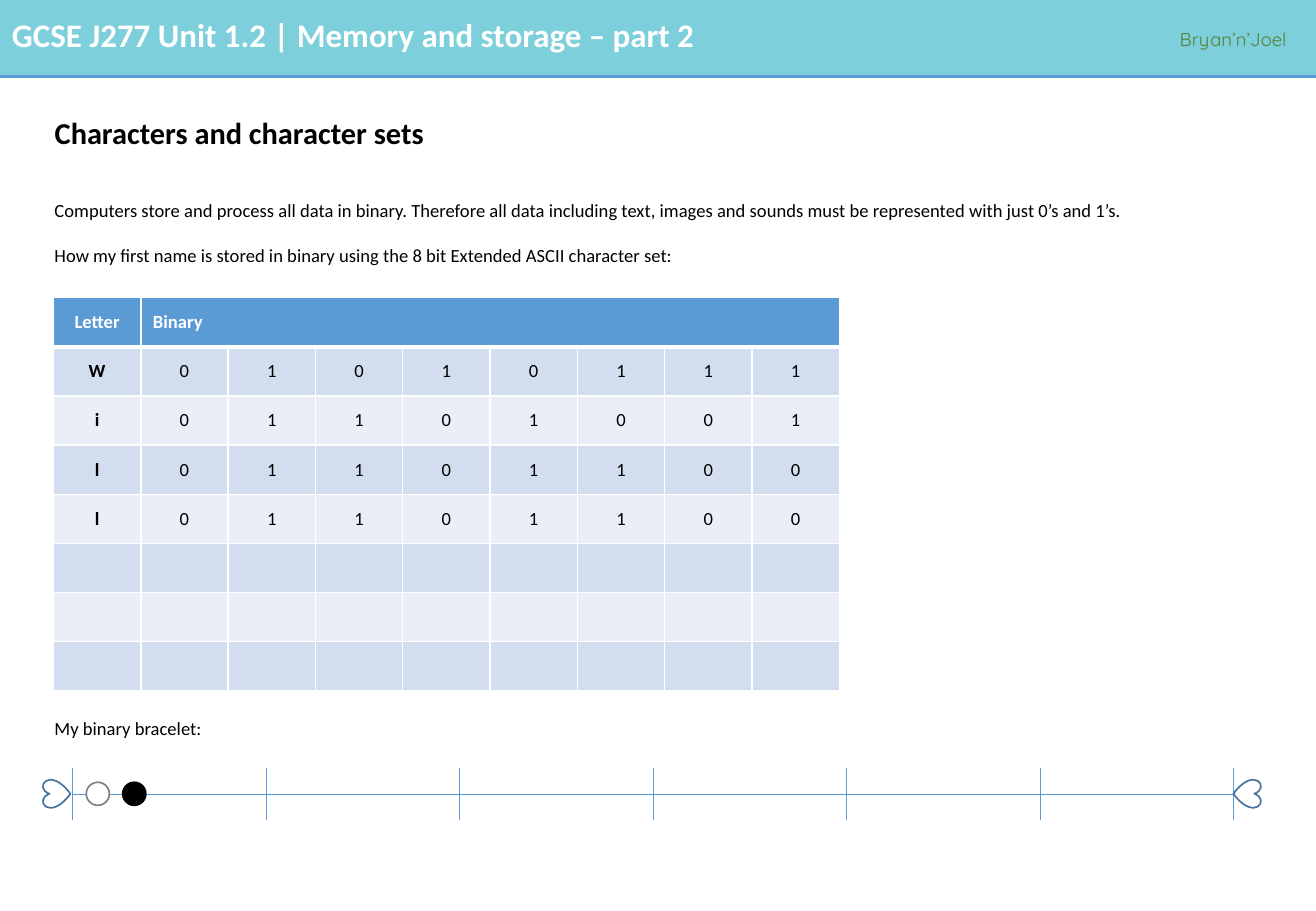
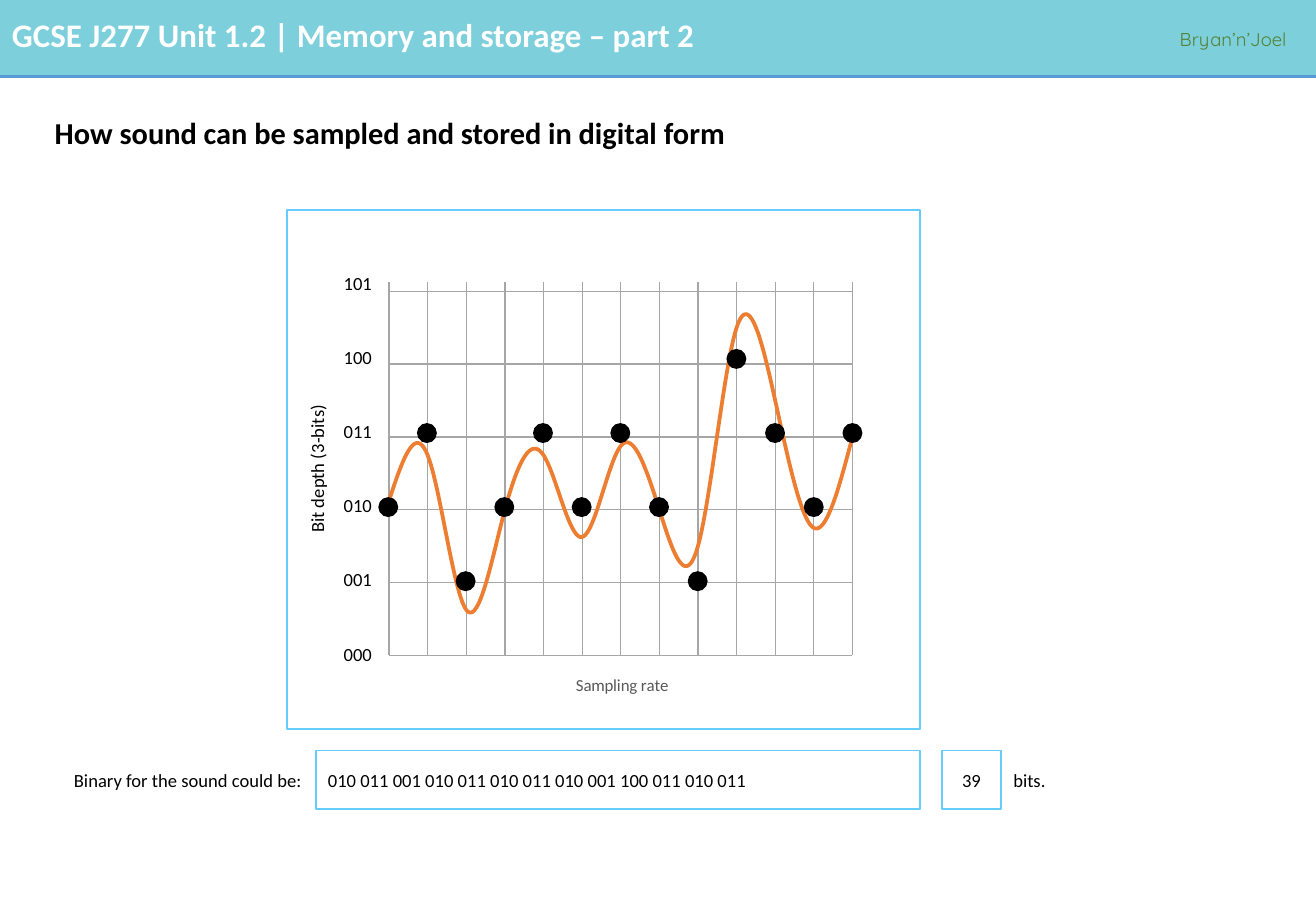
"""Build two GCSE revision slides: character sets and sound sampling."""
from dataclasses import dataclass

from pptx import Presentation
from pptx.chart.data import CategoryChartData
from pptx.dml.color import RGBColor
from pptx.enum.chart import XL_CHART_TYPE as ChartType, XL_MARKER_STYLE as Marker
from pptx.enum.chart import XL_TICK_LABEL_POSITION as LabelPosition
from pptx.enum.shapes import MSO_CONNECTOR as Connector, MSO_SHAPE as Preset
from pptx.enum.text import MSO_ANCHOR as Anchor, MSO_AUTO_SIZE as AutoSize, PP_ALIGN as Align
from pptx.oxml import parse_xml
from pptx.oxml.ns import nsdecls, qn
from pptx.oxml.xmlchemy import OxmlElement
from pptx.util import Inches, Pt

UNIT = "GCSE J277 Unit 1.2 | Memory and storage – part 2"
PUBLISHER = "Bryan’n’Joel"

CHARACTERS_TITLE = "Characters and character sets"
INTRO = [
    "Computers store and process all data in binary. Therefore all data including text, "
    "images and sounds must be represented with just 0’s and 1’s.",
    "How my first name is stored in binary using the 8 bit Extended ASCII character set:",
]
TABLE_HEADS = ("Letter", "Binary")
LETTERS = [("W", "01010111"), ("i", "01101001"), ("l", "01101100"), ("l", "01101100")]
SPARE_ROWS = 3
BRACELET_CAPTION = "My binary bracelet:"
BRACELET_SECTIONS = 6

SOUND_TITLE = "How sound can be sampled and stored in digital form"
WAVE = [81, 86, 69, 80, 86, 77, 87, 80, 76, 100, 92, 78, 88]
SAMPLES = "010 011 001 010 011 010 011 010 001 100 011 010 011".split()
LEVELS = ["000", "001", "010", "011", "100", "101"]
DEPTH_LABEL = "Bit depth (3-bits)"
RATE_LABEL = "Sampling rate"
ANSWER_LABEL = "Binary for the sound could be:"
BIT_UNIT = "bits."


@dataclass(frozen=True)
class Theme:
    """Colours, fonts and type sizes."""
    band: str = "7CCFDB"
    accent: str = "5B9BD5"
    white: str = "FFFFFF"
    black: str = "000000"
    publisher: str = "548235"
    row_dark: str = "D2DEEF"
    row_light: str = "EAEFF7"
    heart: str = "43739E"
    bead: str = "808080"
    frame: str = "66CCFF"
    wave: str = "ED7D31"
    grid: str = "A6A6A6"
    muted: str = "595959"
    font: str = "Calibri"
    publisher_font: str = "Quicksand"
    unit_size: float = 19.5
    title_size: float = 18
    body_size: float = 11
    chart_size: float = 10


T = Theme()


def rgb(color):
    """Return the colour object for a hex value."""
    return RGBColor.from_string(color)


def style(font, size=T.body_size, color=T.black, bold=False, name=T.font):
    """Set the look of a font."""
    font.size, font.bold, font.name = Pt(size), bold, name
    font.color.rgb = rgb(color)


def write(paragraph, text, **look):
    """Add one formatted run."""
    run = paragraph.add_run()
    run.text = text
    style(run.font, **look)


def add_text(slide, box, *lines, wrap=True, gap=0, **look):
    """Add a text box with one paragraph per line."""
    label = slide.shapes.add_textbox(*map(Inches, box))
    frame = label.text_frame
    frame.word_wrap, frame.auto_size = wrap, AutoSize.SHAPE_TO_FIT_TEXT
    for index, line in enumerate(lines):
        paragraph = frame.add_paragraph() if index else frame.paragraphs[0]
        paragraph.space_before = Pt(gap if index else 0)
        write(paragraph, line, **look)
    return label


def add_figure(slide, preset, box, fill=None, line=None, rotation=0):
    """Add a preset shape without shadow."""
    figure = slide.shapes.add_shape(preset, *map(Inches, box))
    figure.shadow.inherit, figure.rotation = False, rotation
    if fill:
        figure.fill.solid()
        figure.fill.fore_color.rgb = rgb(fill)
    else:
        figure.fill.background()
    if line:
        figure.line.color.rgb, figure.line.width = rgb(line), Pt(1)
    else:
        figure.line.fill.background()
    return figure


def add_rule(slide, start, end, width=0.5):
    """Add a straight line between two points."""
    rule = slide.shapes.add_connector(Connector.STRAIGHT, *map(Inches, (*start, *end)))
    rule.line.color.rgb, rule.line.width = rgb(T.accent), Pt(width)
    rule.element.spPr.append(OxmlElement("a:effectLst"))
    return rule


def add_answer(slide, box, text, align=Align.LEFT):
    """Add a framed answer box."""
    frame = add_figure(slide, Preset.RECTANGLE, box, line=T.frame).text_frame
    frame.word_wrap, frame.vertical_anchor = True, Anchor.MIDDLE
    frame.paragraphs[0].alignment = align
    write(frame.paragraphs[0], text)


def add_slide(deck, layout, heading):
    """Add a slide with its formatted title."""
    slide = deck.slides.add_slide(layout)
    title = slide.shapes.title
    title.left, title.top, title.width, title.height = map(Inches, (0.35, 0.83, 10.1, 0.56))
    title.text_frame.vertical_anchor = Anchor.MIDDLE
    paragraph = title.text_frame.paragraphs[0]
    paragraph.alignment, paragraph.line_spacing = Align.LEFT, 0.9
    write(paragraph, heading, size=T.title_size, bold=True)
    return slide


def brand_layout(slide, layout):
    """Build the header band and move it to the shared layout."""
    band = add_figure(slide, Preset.RECTANGLE, (0, 0, 10.83, 0.63), T.band)
    edge = add_rule(slide, (0, 0.63), (10.83, 0.63), 2.25)
    unit = add_text(slide, (0, 0.07, 9.48, 0.43), UNIT,
                    size=T.unit_size, color=T.white, bold=True)
    publisher = add_text(slide, (9.61, 0.17, 1.22, 0.29), PUBLISHER, wrap=False,
                         color=T.publisher, name=T.publisher_font)
    credit = publisher.text_frame.paragraphs[0]
    credit.line_spacing, credit.space_after = 1.07, Pt(8)
    for number, part in enumerate((band, edge, unit, publisher), 101):
        part.element.xpath("./*/p:cNvPr")[0].set("id", str(number))
        layout.shapes.element.append(part.element)


def fill_cell(cell, text, fill, top=1, bottom=1, align=Align.CENTER, **look):
    """Write, border and fill one table cell."""
    properties = cell._tc.get_or_add_tcPr()
    for side, width in zip("LRTB", (1, 1, top, bottom)):
        properties.append(parse_xml(
            f'<a:ln{side} {nsdecls("a")} w="{Pt(width)}"><a:solidFill>'
            f'<a:srgbClr val="{T.white}"/></a:solidFill></a:ln{side}>'))
    cell.fill.solid()
    cell.fill.fore_color.rgb = rgb(fill)
    cell.vertical_anchor = Anchor.MIDDLE
    paragraph = cell.text_frame.paragraphs[0]
    paragraph.alignment = align
    if text:
        write(paragraph, text, **look)


def add_letter_table(slide):
    """Add the table of letters and their bits."""
    rows = [(letter, *bits) for letter, bits in LETTERS] + [("",) * 9] * SPARE_ROWS
    table = slide.shapes.add_table(
        len(rows) + 1, 9, *map(Inches, (0.44, 2.45, 6.47, 3.24))).table
    table.horz_banding = False
    table.cell(0, 1).merge(table.cell(0, 8))
    for column in range(9):
        fill_cell(table.cell(0, column), TABLE_HEADS[column] if column < 2 else "", T.accent,
                  bottom=3, align=Align.LEFT if column else Align.CENTER,
                  color=T.white, bold=True)
    for number, row in enumerate(rows, 1):
        for column, text in enumerate(row):
            fill_cell(table.cell(number, column), text, T.row_dark if number % 2 else T.row_light,
                      top=3 if number == 1 else 1, bold=column == 0)


def add_bracelet(slide):
    """Add the bracelet thread, dividers, beads and clasps."""
    start, end, middle = 0.6, 10.15, 6.54
    step = (end - start) / BRACELET_SECTIONS
    for section in range(BRACELET_SECTIONS + 1):
        x = start + section * step
        add_rule(slide, (x, 6.32), (x, 6.75))
        if section < BRACELET_SECTIONS:
            add_rule(slide, (x, middle), (x + step, middle))
    for left, fill, line in ((1.01, T.black, T.black), (0.71, T.white, T.bead)):
        add_figure(slide, Preset.OVAL, (left, 6.44, 0.19, 0.19), fill, line)
    for left, rotation in ((0.35, 270), (end, 90)):
        add_figure(slide, Preset.HEART, (left, 6.42, 0.23, 0.23), T.white, T.heart, rotation)


def place_in_chart(parent, index, **fractions):
    """Give a chart part a fixed place as fractions of the chart."""
    for old in parent.findall(qn("c:layout")):
        parent.remove(old)
    modes = {"xMode": "edge", "yMode": "edge"}
    if "w" in fractions:
        modes = {"layoutTarget": "inner", **modes}
    entries = "".join(f'<c:{key} val="{value}"/>' for key, value in {**modes, **fractions}.items())
    parent.insert(index, parse_xml(
        f'<c:layout {nsdecls("c")}><c:manualLayout>{entries}</c:manualLayout></c:layout>'))


def add_wave_chart(slide):
    """Add the smooth sound wave on its sampling grid."""
    data = CategoryChartData()
    data.categories = [str(number) for number in range(1, len(WAVE) + 1)]
    data.add_series("Series 1", WAVE)
    chart = slide.shapes.add_chart(
        ChartType.LINE, *map(Inches, (2.73, 1.85, 4.41, 4.04)), data).chart
    chart.has_legend = chart.has_title = False
    style(chart.font, T.chart_size)
    plot = chart.plots[0]
    plot.vary_by_categories = False
    wave = plot.series[0]
    wave.smooth, wave.marker.style = True, Marker.NONE
    wave.format.line.color.rgb, wave.format.line.width = rgb(T.wave), Pt(2.25)
    time, depth = chart.category_axis, chart.value_axis
    for axis in (time, depth):
        axis.has_major_gridlines, axis.visible = True, False
        axis.tick_label_position = LabelPosition.NONE
        grid = axis.major_gridlines.format.line
        grid.color.rgb, grid.width = rgb(T.grid), Pt(0.75)
    depth.minimum_scale, depth.maximum_scale, depth.major_unit = 64, 105, 8
    depth.tick_labels.number_format = "0.0000"
    depth.tick_labels.number_format_is_linked = False
    time.has_title = True
    write(time.axis_title.text_frame.paragraphs[0], RATE_LABEL, size=T.chart_size, color=T.muted)
    place_in_chart(time.axis_title.element, 1, x=0.45, y=0.91)
    root = chart.element
    place_in_chart(root.find(".//" + qn("c:plotArea")), 0, x=0.107, y=0.117, w=0.865, h=0.761)
    for old in root.findall(".//" + qn("c:crossBetween")):
        old.getparent().remove(old)
    root.find(".//" + qn("c:majorUnit")).addprevious(
        parse_xml(f'<c:crossBetween {nsdecls("c")} val="midCat"/>'))
    root.find(qn("c:chart")).addnext(parse_xml(
        f'<c:spPr {nsdecls("c", "a")}><a:solidFill><a:srgbClr val="{T.white}"/></a:solidFill>'
        '<a:ln><a:noFill/></a:ln></c:spPr>'))


def add_samples(slide):
    """Label the levels and put a dot at each sampled level."""
    for level, code in enumerate(LEVELS):
        add_text(slide, (2.73, 5.24 - 0.61 * level, 0.44, 0.29), code, wrap=False)
    add_text(slide, (1.98, 3.71, 1.26, 0.29), DEPTH_LABEL, wrap=False).rotation = 270
    step = (6.94 - 3.12) / (len(SAMPLES) - 1)
    for index, code in enumerate(SAMPLES):
        top = 5.32 - 0.61 * LEVELS.index(code)
        add_figure(slide, Preset.OVAL, (3.12 + index * step, top, 0.15, 0.15), T.black, T.black)


deck = Presentation()
deck.slide_width, deck.slide_height = Inches(10.83), Inches(7.5)
title_only = deck.slide_layouts[5]

characters = add_slide(deck, title_only, CHARACTERS_TITLE)
brand_layout(characters, title_only)
add_text(characters, (0.35, 1.59, 10.1, 0.66), *INTRO, gap=13.4)
add_letter_table(characters)
add_text(characters, (0.35, 5.85, 10.1, 0.29), BRACELET_CAPTION)
add_bracelet(characters)

sound = add_slide(deck, title_only, SOUND_TITLE)
add_figure(sound, Preset.RECTANGLE, (2.36, 1.73, 5.21, 4.27), line=T.frame)
add_wave_chart(sound)
add_samples(sound)
add_text(sound, (0.51, 6.28, 2.09, 0.29), ANSWER_LABEL)
add_answer(sound, (2.6, 6.18, 4.97, 0.48), " ".join(SAMPLES))
add_answer(sound, (7.75, 6.18, 0.49, 0.48), str(len("".join(SAMPLES))), Align.CENTER)
add_text(sound, (8.24, 6.28, 2.09, 0.29), BIT_UNIT)

deck.save("out.pptx")
